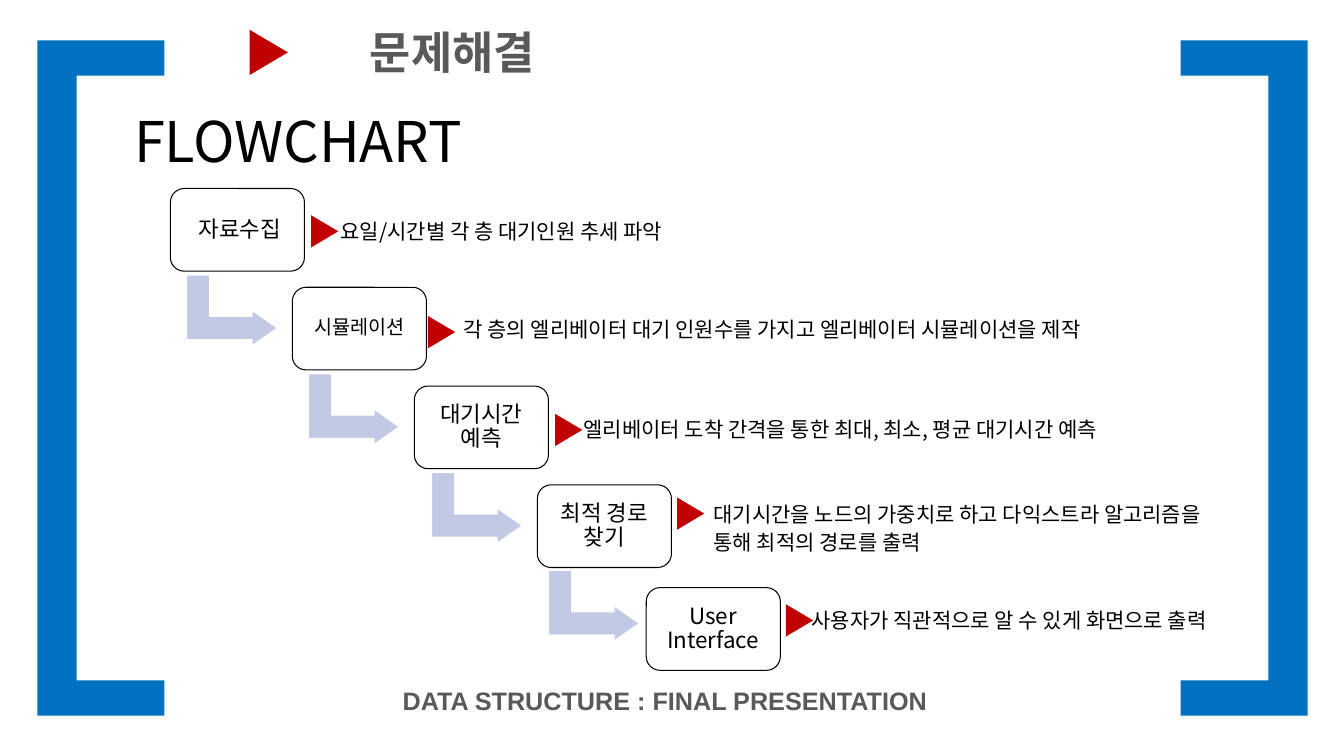
from lxml import etree
from pptx import Presentation
from pptx.dml.color import RGBColor
from pptx.enum.shapes import MSO_SHAPE
from pptx.enum.text import MSO_ANCHOR, MSO_AUTO_SIZE, PP_ALIGN
from pptx.oxml.ns import qn
from pptx.util import Inches, Pt

ROUND = MSO_SHAPE.ROUNDED_RECTANGLE
TRI, BENT = MSO_SHAPE.ISOSCELES_TRIANGLE, MSO_SHAPE.BENT_UP_ARROW
LEFT, CENTER = PP_ALIGN.LEFT, PP_ALIGN.CENTER
TOP, MIDDLE = MSO_ANCHOR.TOP, MSO_ANCHOR.MIDDLE
NO_FIT = MSO_AUTO_SIZE.NONE

COLORS = {"blue": "0070C0", "red": "C00000", "pale": "C1C9E4",
          "white": "FFFFFF", "black": "000000", "gray": "595959"}
SANS, LATIN = "Noto Sans CJK KR", "Arial"

# Label, size, box corner, offsets of marker and note, note width, note lines
STEPS = [
    (" 자료수집", 16, (1.69, 1.87), (1.37, 0.29), (1.59, 0.1), 4,
     ["요일/시간별 각 층 대기인원 추세 파악"]),
    ("시뮬레이션", 14, (2.9, 2.85), (1.32, 0.31), (1.6, 0.1), 7.33,
     ["각 층의 엘리베이터 대기 인원수를 가지고 엘리베이터 시뮬레이션을 제작"]),
    ("대기시간 예측", 16, (4.11, 3.83), (1.37, 0.3), (1.58, 0.11), 6.08,
     ["엘리베이터 도착 간격을 통한 최대, 최소, 평균 대기시간 예측"]),
    ("최적 경로 찾기", 16, (5.33, 4.81), (1.36, 0.15), (1.65, 0.11), 6.7,
     ["대기시간을 노드의 가중치로 하고 다익스트라 알고리즘을",
      "통해 최적의 경로를 출력"]),
    ("User Interface", 16, (6.41, 5.83), (1.36, 0.19), (1.54, 0), 4.62,
     ["사용자가 직관적으로 알 수 있게 화면으로 출력"]),
]


def color(name):
    return RGBColor.from_string(COLORS[name])


def assign(item, values):
    for key, value in values.items():
        setattr(item, key, value)


def paint(shape, fill=None, line=None):
    shape.shadow.inherit = False
    for part, name in ((shape.fill, fill), (shape.line.fill, line)):
        if name:
            part.solid()
            part.fore_color.rgb = color(name)
        else:
            part.background()
    if line:
        shape.line.width = Pt(0)


def draw(slide, kind, box, fill=None, line=None, turn=0, adj=()):
    shape = slide.shapes.add_shape(kind, *map(Inches, box))
    shape.rotation = turn
    for i, value in enumerate(adj):
        shape.adjustments[i] = value
    paint(shape, fill, line)
    return shape


def write(shape, lines, size, tone="black", face=SANS, bold=False,
          align=LEFT, anchor=MIDDLE, inset=None, **gaps):
    frame = shape.text_frame
    assign(frame, {"word_wrap": True, "auto_size": NO_FIT,
                   "vertical_anchor": anchor})
    if inset is not None:
        sides = ("left", "right", "top", "bottom")
        assign(frame, {f"margin_{side}": Inches(inset) for side in sides})
    for i, text in enumerate(lines):
        para = frame.add_paragraph() if i else frame.paragraphs[0]
        assign(para, {"alignment": align, "space_before": Pt(0), **gaps})
        run = para.add_run()
        run.text = text
        assign(run.font, {"name": face, "size": Pt(size), "bold": bold})
        run.font.color.rgb = color(tone)
        # Hangul takes its face from the East Asian slot
        east = etree.SubElement(run.font._element, qn("a:ea"))
        east.set("typeface", face)


def label(slide, box, lines, size, **form):
    write(slide.shapes.add_textbox(*map(Inches, box)), lines, size, **form)


def bracket(slide, box, right=False):
    left, top, width, height = box
    bar, lip = 0.39, 0.35
    base = top + height
    # Outer edge, inner edge of the bar, tip of the arms
    edge, inner, tip = left, left + bar, left + width
    if right:
        edge, inner, tip = tip, tip - bar, left
    points = [(edge, top), (tip, top), (tip, top + lip), (inner, top + lip),
              (inner, base - lip), (tip, base - lip), (tip, base),
              (edge, base)]
    spots = [(Inches(x), Inches(y)) for x, y in points]
    pen = slide.shapes.build_freeform(*spots[0])
    pen.add_line_segments(spots[1:], close=True)
    paint(pen.convert_to_shape(), "blue")


def header(slide, box):
    left, top, width, height = box
    draw(slide, TRI, (left + 1.21, top + 0.07, 0.45, 0.38), "red", turn=90)
    label(slide, (left + 2.34, top, 7.35, 0.67), ["문제해결"], 32,
          tone="gray", bold=True, anchor=TOP, line_spacing=0.9)
    title = slide.shapes.title
    spot = (left, top + 0.67, width, height - 0.67)
    assign(title, dict(zip(("left", "top", "width", "height"),
                           map(Inches, spot))))
    write(title, ["FLOWCHART"], 40, line_spacing=0.9)


def bend(slide, left, top):
    draw(slide, BENT, (left, top, 0.7, 0.9), "pale", "white", 90,
         (0.328, 0.25, 0.358))


def stage(slide, box, step):
    left, top = box[:2]
    name, size, _, mark, note, width, lines = step
    card = draw(slide, ROUND, box, line="black", adj=(0.167,))
    write(card, [name], size, align=CENTER, inset=0.07,
          line_spacing=0.9, space_after=Pt(7))
    label(slide, (left + note[0], top + note[1], width, 0.67), lines, 15,
          line_spacing=0.9, space_after=Pt(4))
    draw(slide, TRI, (left + mark[0], top + mark[1], 0.32, 0.27), "red",
         turn=90)


def flow(slide):
    for step in STEPS:
        stage(slide, (*step[2], 1.33, 0.82), step)
    # Each bend leads into the next box
    for step in STEPS[1:]:
        left, top = step[2]
        bend(slide, left - (0.87 if step is STEPS[-1] else 0.95),
             top - (0.27 if step is STEPS[-1] else 0.22))


def footer(slide, box):
    label(slide, box, ["DATA STRUCTURE : FINAL PRESENTATION"], 18,
          tone="gray", face=LATIN, bold=True, align=CENTER, anchor=TOP)


def main():
    deck = Presentation()
    deck.slide_width, deck.slide_height = Inches(13.33), Inches(7.5)
    slide = deck.slides.add_slide(deck.slide_layouts[5])
    bracket(slide, (0.37, 0.4, 1.26, 6.7))
    bracket(slide, (11.71, 0.4, 1.26, 6.7), right=True)
    footer(slide, (2.38, 6.75, 8.43, 0.4))
    header(slide, (1.23, 0.26, 7.21, 1.68))
    flow(slide)
    deck.save("out.pptx")


if __name__ == "__main__":
    main()
